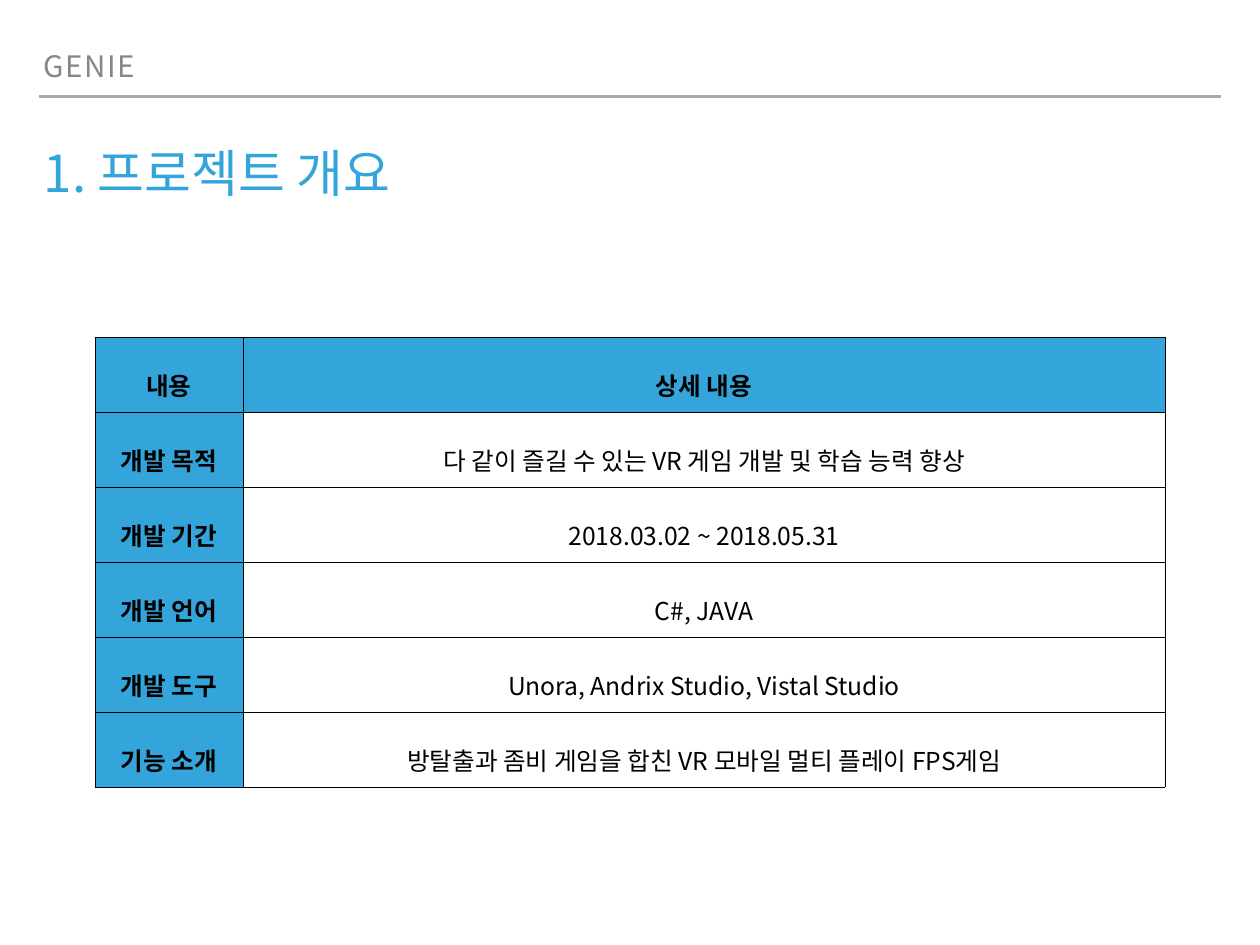
"""Build the project overview slide with its table of development facts."""
import pptx
import pptx.dml.color
import pptx.enum.shapes
import pptx.enum.text
import pptx.oxml
import pptx.oxml.ns
import pptx.util
from lxml import etree

Cm = pptx.util.Cm
Pt = pptx.util.Pt
RGBColor = pptx.dml.color.RGBColor
qn = pptx.oxml.ns.qn
Anchor = pptx.enum.text.MSO_ANCHOR
FONT = "Noto Sans CJK KR"
COLORS = {
    "blue": "34A5DA",
    "white": "FFFFFF",
    "black": "000000",
    "heading": "838787",
    "rule": "A6AAA9",
}


def add_text(frame, text, size, color, line_spacing, bold=False):
    """Write one styled run into the first paragraph and return the run."""
    paragraph = frame.paragraphs[0]
    paragraph.line_spacing = line_spacing
    run = paragraph.add_run()
    run.text = text
    run.font.size = Pt(size)
    run.font.bold = bold
    run.font.name = FONT
    run.font.color.rgb = RGBColor.from_string(COLORS[color])
    etree.SubElement(run._r.get_or_add_rPr(), qn("a:ea"), typeface=FONT)
    return run


def add_text_box(slide, left, top, width, height, anchor):
    """Add an empty wrapping text box and return its text frame."""
    frame = slide.shapes.add_textbox(Cm(left), Cm(top), Cm(width), Cm(height)).text_frame
    frame.word_wrap = True
    frame.vertical_anchor = anchor
    frame.margin_left = frame.margin_right = Cm(0.14)
    frame.margin_top = frame.margin_bottom = Cm(0.14)
    return frame


presentation = pptx.Presentation()
presentation.slide_width = Cm(36.12)
presentation.slide_height = Cm(27.1)
slide = presentation.slides.add_slide(presentation.slide_layouts[6])

rule = slide.shapes.add_connector(
    pptx.enum.shapes.MSO_CONNECTOR.STRAIGHT, Cm(1.12), Cm(2.77), Cm(35), Cm(2.77)
)
rule.line.color.rgb = RGBColor.from_string(COLORS["rule"])
rule.line.width = Pt(2)
etree.SubElement(rule._element.spPr, qn("a:effectLst"))

heading = add_text_box(slide, 1.12, 1.42, 31.04, 1.12, Anchor.BOTTOM)
heading_run = add_text(heading, "GENIE", 24, "heading", 0.8)
heading_run._r.get_or_add_rPr().set("spc", "120")

title = add_text_box(slide, 1.12, 4.27, 33.86, 2, Anchor.TOP)
add_text(title, "1. 프로젝트 개요", 41.4, "blue", 0.8)

facts = [
    ("내용", "상세 내용"),
    ("개발 목적", "다 같이 즐길 수 있는 VR 게임 개발 및 학습 능력 향상"),
    ("개발 기간", "2018.03.02 ~ 2018.05.31"),
    ("개발 언어", "C#, JAVA"),
    ("개발 도구", "Unora, Andrix Studio, Vistal Studio"),
    ("기능 소개", "방탈출과 좀비 게임을 합친 VR 모바일 멀티 플레이 FPS게임"),
]
column_widths = [4.25, 26.43]
row_height = 2.15
table = slide.shapes.add_table(
    len(facts), 2, Cm(2.72), Cm(9.66), Cm(sum(column_widths)), Cm(row_height * len(facts))
).table
for column, width in zip(table.columns, column_widths):
    column.width = Cm(width)

for row_index, fact in enumerate(facts):
    table.rows[row_index].height = Cm(row_height)
    for column_index, text in enumerate(fact):
        is_header = row_index == 0 or column_index == 0
        cell = table.cell(row_index, column_index)
        cell.vertical_anchor = Anchor.MIDDLE
        cell.margin_left = cell.margin_right = Cm(0.05)
        cell.margin_top = cell.margin_bottom = Cm(0.05)
        cell.fill.solid()
        cell.fill.fore_color.rgb = RGBColor.from_string(COLORS["blue" if is_header else "white"])
        add_text(cell.text_frame, text, 20, "black", 1.6, is_header)
        cell.text_frame.paragraphs[0].alignment = pptx.enum.text.PP_ALIGN.CENTER
        properties = cell._tc.get_or_add_tcPr()
        for position, side in enumerate(("a:lnL", "a:lnR", "a:lnT", "a:lnB")):
            border = etree.Element(qn(side), w=str(Pt(0.28)))
            border_fill = etree.SubElement(border, qn("a:solidFill"))
            etree.SubElement(border_fill, qn("a:srgbClr"), val=COLORS["black"])
            properties.insert(position, border)

presentation.save("out.pptx")
